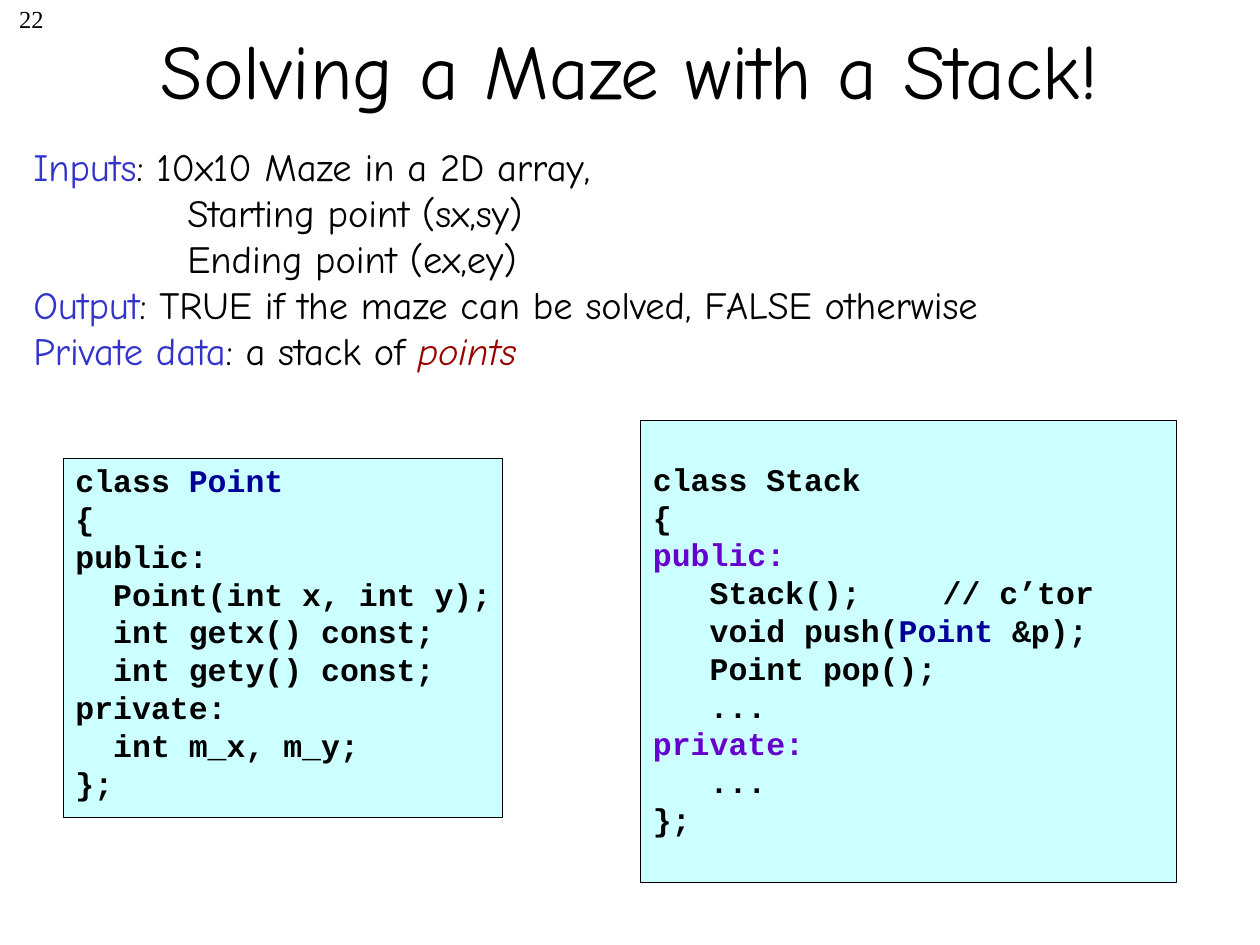
from pptx import Presentation
from pptx.dml.color import RGBColor
from pptx.enum.shapes import MSO_SHAPE
from pptx.enum.text import MSO_ANCHOR, PP_ALIGN
from pptx.util import Pt

THEME = {
    "heading": "Comic Neue", "code": "Courier New", "number": "Times New Roman",
    "title_size": 44, "body_size": 22, "code_size": 18, "number_size": 14,
    "black": "000000", "label": "3333CC", "emphasis": "990000",
    "type": "000099", "access": "6600CC", "panel": "CCFFFF",
}
LINE_PITCH = 1.2
BODY_INDENT = 88

# A line is a list of (text, colour) runs.
NUMBER = [[("22", "black")]]
TITLE = [[("Solving a Maze with a Stack!", "black")]]
SUMMARY = [
    [("Inputs", "label"), (": 10x10 Maze in a 2D array,", "black")],
    [("Starting point (sx,sy)", "black")],
    [("Ending point (ex,ey)", "black")],
    [("Output", "label"), (": TRUE if the maze can be solved, FALSE otherwise", "black")],
    [("Private data", "label"), (": a stack of ", "black"), ("points", "emphasis")],
]
POINT_CLASS = [
    [("class ", "black"), ("Point", "type")],
    [("{", "black")],
    [("public:", "black")],
    [("  Point(int x, int y);", "black")],
    [("  int getx() const;", "black")],
    [("  int gety() const;", "black")],
    [("private:", "black")],
    [("  int m_x, m_y;", "black")],
    [("};", "black")],
]
STACK_CLASS = [
    [("class Stack", "black")],
    [("{", "black")],
    [("public:", "access")],
    [("   Stack();\t  // c’tor", "black")],
    [("   void push(", "black"), ("Point", "type"), (" &p);", "black")],
    [("   Point pop();", "black")],
    [("   ...", "black")],
    [("private:", "access")],
    [("   ...", "black")],
    [("};", "black")],
]
# Panel left, top, width, height; top of its code; code lines
CODE_PANELS = [
    ((366, 240, 306, 264), 259.2, STACK_CLASS),
    ((36, 262, 251, 205), 260, POINT_CLASS),
]


def colour(name):
    return RGBColor.from_string(THEME[name])


def add_text(slide, box, lines, font, size, align=PP_ALIGN.LEFT,
             anchor=MSO_ANCHOR.TOP, bold=False, pitch=None):
    frame = slide.shapes.add_textbox(*map(Pt, box)).text_frame
    frame.word_wrap = True
    frame.vertical_anchor = anchor
    frame.text = "\n".join("" for _ in lines)
    for paragraph, line in zip(frame.paragraphs, lines):
        paragraph.alignment = align
        if pitch:
            paragraph.line_spacing = Pt(size * pitch)
        for text, tint in line:
            run = paragraph.add_run()
            run.text = text
            run.font.name = THEME[font]
            run.font.size = Pt(size)
            run.font.bold = bold
            run.font.italic = tint == "emphasis"
            run.font.color.rgb = colour(tint)
    return frame


def add_code_panel(slide, box, code_top, lines):
    panel = slide.shapes.add_shape(MSO_SHAPE.RECTANGLE, *map(Pt, box))
    panel.shadow.inherit = False
    panel.fill.solid()
    panel.fill.fore_color.rgb = colour("panel")
    panel.line.color.rgb = colour("black")
    panel.line.width = Pt(0.25)
    size = THEME["code_size"]
    height = len(lines) * size * LINE_PITCH + 7.2
    add_text(slide, (box[0], code_top, 300, height), lines, "code", size,
             bold=True, pitch=LINE_PITCH)


def main():
    deck = Presentation()
    deck.slide_width, deck.slide_height = Pt(720), Pt(540)
    slide = deck.slides.add_slide(deck.slide_layouts[6])

    add_text(slide, (-118, -1.5, 150, 36), NUMBER, "number",
             THEME["number_size"], align=PP_ALIGN.RIGHT)
    add_text(slide, (54, -6, 612, 90), TITLE, "heading", THEME["title_size"],
             align=PP_ALIGN.CENTER, anchor=MSO_ANCHOR.MIDDLE)
    summary = add_text(slide, (12, 78, 720, 139), SUMMARY, "heading",
                       THEME["body_size"], pitch=LINE_PITCH)
    for paragraph in summary.paragraphs[1:3]:
        properties = paragraph._p.get_or_add_pPr()
        properties.set("marL", str(Pt(BODY_INDENT)))
        properties.set("indent", "0")

    for box, code_top, lines in CODE_PANELS:
        add_code_panel(slide, box, code_top, lines)
    deck.save("out.pptx")


if __name__ == "__main__":
    main()
